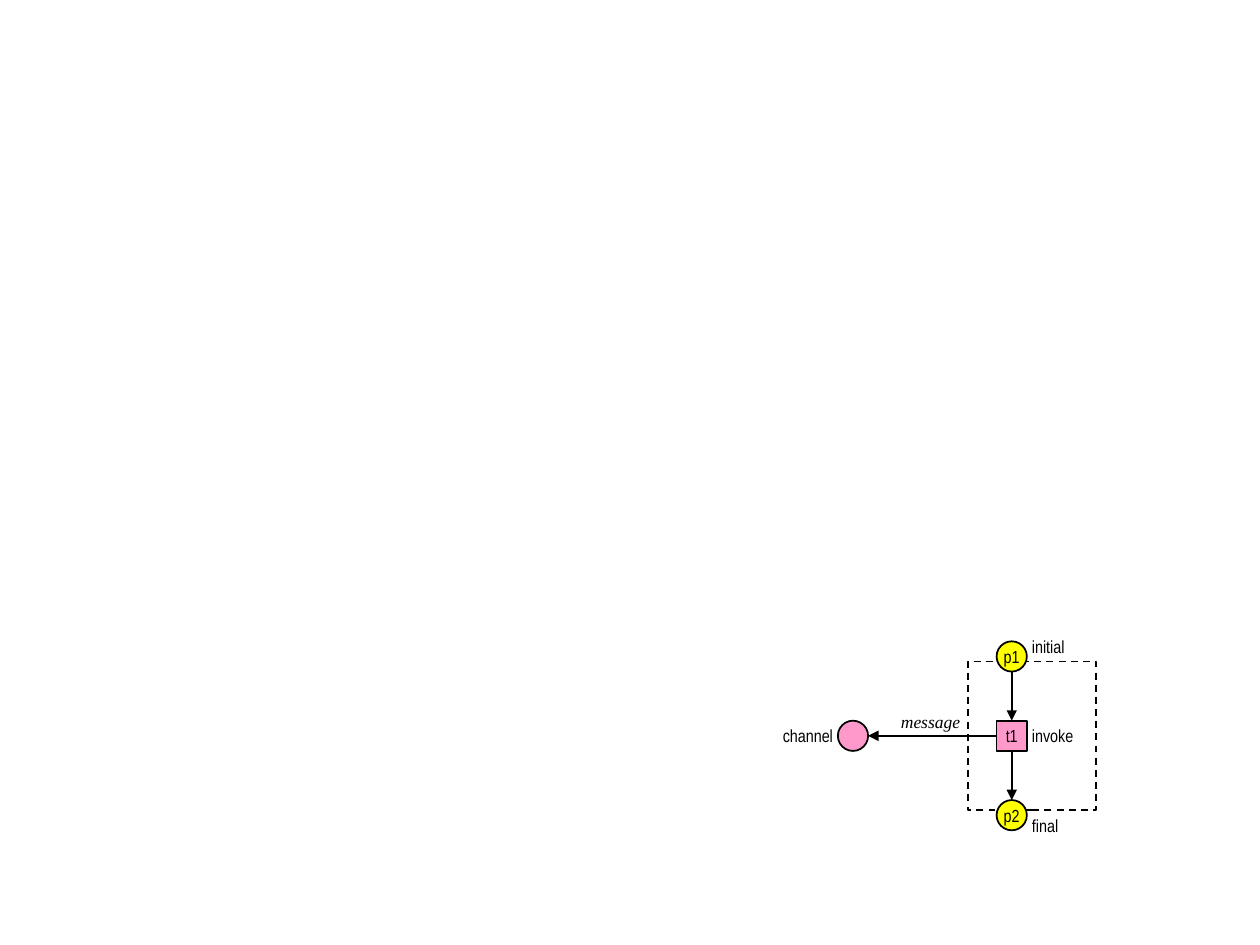
from pptx import Presentation
from pptx.dml.color import RGBColor
from pptx.enum.dml import MSO_LINE
from pptx.enum.shapes import MSO_CONNECTOR, MSO_SHAPE
from pptx.enum.text import MSO_ANCHOR, MSO_AUTO_SIZE, PP_ALIGN
from pptx.oxml.ns import qn
from pptx.util import Inches, Pt
from lxml.etree import SubElement

BLACK, YELLOW, PINK = "000000", "FFFF00", "FF99CC"


def rgb(color):
    return RGBColor.from_string(color)


class NetDiagram:
    font = "Arial Narrow"
    size = Pt(10)
    line_width = Pt(1)
    node = 0.24

    def __init__(self, slide):
        self.s = slide

    def stroke(self, line):
        line.color.rgb = rgb(BLACK)
        line.width = self.line_width

    def set_text(self, tf, text, align, margins, font=None, italic=None):
        tf.word_wrap = False
        tf.auto_size = MSO_AUTO_SIZE.NONE
        tf.vertical_anchor = MSO_ANCHOR.MIDDLE
        tf.margin_left = tf.margin_right = Inches(margins[0])
        tf.margin_top = tf.margin_bottom = Inches(margins[1])
        p = tf.paragraphs[0]
        p.text = text
        p.alignment = align
        p.font.name = font or self.font
        p.font.size = self.size
        p.font.italic = italic
        p.font.color.rgb = rgb(BLACK)

    def shape(self, kind, x, y, w, h, fill=None):
        sp = self.s.shapes.add_shape(kind, Inches(x), Inches(y), Inches(w), Inches(h))
        sp.shadow.inherit = False
        if fill:
            sp.fill.solid()
            sp.fill.fore_color.rgb = rgb(fill)
        else:
            sp.fill.background()
        self.stroke(sp.line)
        return sp

    def frame(self, x, y, w, h):
        sp = self.shape(MSO_SHAPE.RECTANGLE, x, y, w, h)
        sp.line.dash_style = MSO_LINE.DASH

    def net_node(self, kind, x, y, fill, text=None):
        sp = self.shape(kind, x, y, self.node, self.node, fill)
        if text:
            self.set_text(sp.text_frame, text, PP_ALIGN.CENTER, (0.1, 0.05))
        return sp

    def arrow(self, x1, y1, x2, y2, begin=None, end=None):
        c = self.s.shapes.add_connector(
            MSO_CONNECTOR.STRAIGHT, Inches(x1), Inches(y1), Inches(x2), Inches(y2))
        if begin:
            c.begin_connect(*begin)
        if end:
            c.end_connect(*end)
        self.stroke(c.line)
        properties = c.element.spPr
        SubElement(properties.find(qn("a:ln")), qn("a:tailEnd"), type="triangle")
        SubElement(properties, qn("a:effectLst"))

    def text_box(self, x, y, w, h):
        return self.s.shapes.add_textbox(
            Inches(x), Inches(y), Inches(w), Inches(h)).text_frame

    def label(self, text, x, y, align=PP_ALIGN.LEFT):
        self.set_text(self.text_box(x, y, 0.31, self.node), text, align, (0.04, 0))

    def message(self, text, x, y):
        tf = self.text_box(x, y, 0.47, 0.17)
        self.set_text(tf, text, PP_ALIGN.CENTER, (0, 0), "Times New Roman", True)
        tf.vertical_anchor = MSO_ANCHOR.TOP
        tf.auto_size = MSO_AUTO_SIZE.SHAPE_TO_FIT_TEXT


def main():
    prs = Presentation()
    prs.slide_width, prs.slide_height = Inches(10), Inches(7.5)
    net = NetDiagram(prs.slides.add_slide(prs.slide_layouts[6]))

    node = net.node
    x, channel_x, step = 7.91, 6.65, 0.63
    initial_y, invoke_y, final_y = (5.09 + i * step for i in range(3))
    center_x, center_y = x + node / 2, invoke_y + node / 2

    net.frame(7.68, 5.25, 1.02, 1.18)
    net.net_node(MSO_SHAPE.OVAL, x, initial_y, YELLOW, "p1")
    invoke = net.net_node(MSO_SHAPE.RECTANGLE, x, invoke_y, PINK, "t1")
    final = net.net_node(MSO_SHAPE.OVAL, x, final_y, YELLOW, "p2")
    net.net_node(MSO_SHAPE.OVAL, channel_x, invoke_y, PINK)

    net.arrow(center_x, initial_y + node, center_x, invoke_y, end=(invoke, 0))
    net.arrow(center_x, invoke_y + node, center_x, final_y, (invoke, 2), (final, 0))
    net.arrow(x, center_y, channel_x + node, center_y, begin=(invoke, 1))

    net.message("message", 7.15, 5.64)
    for text, y in (("initial", 5.01), ("invoke", invoke_y), ("final", 6.43)):
        net.label(text, x + node, y)
    net.label("channel", 6.34, invoke_y, PP_ALIGN.RIGHT)

    prs.save("out.pptx")


if __name__ == "__main__":
    main()
